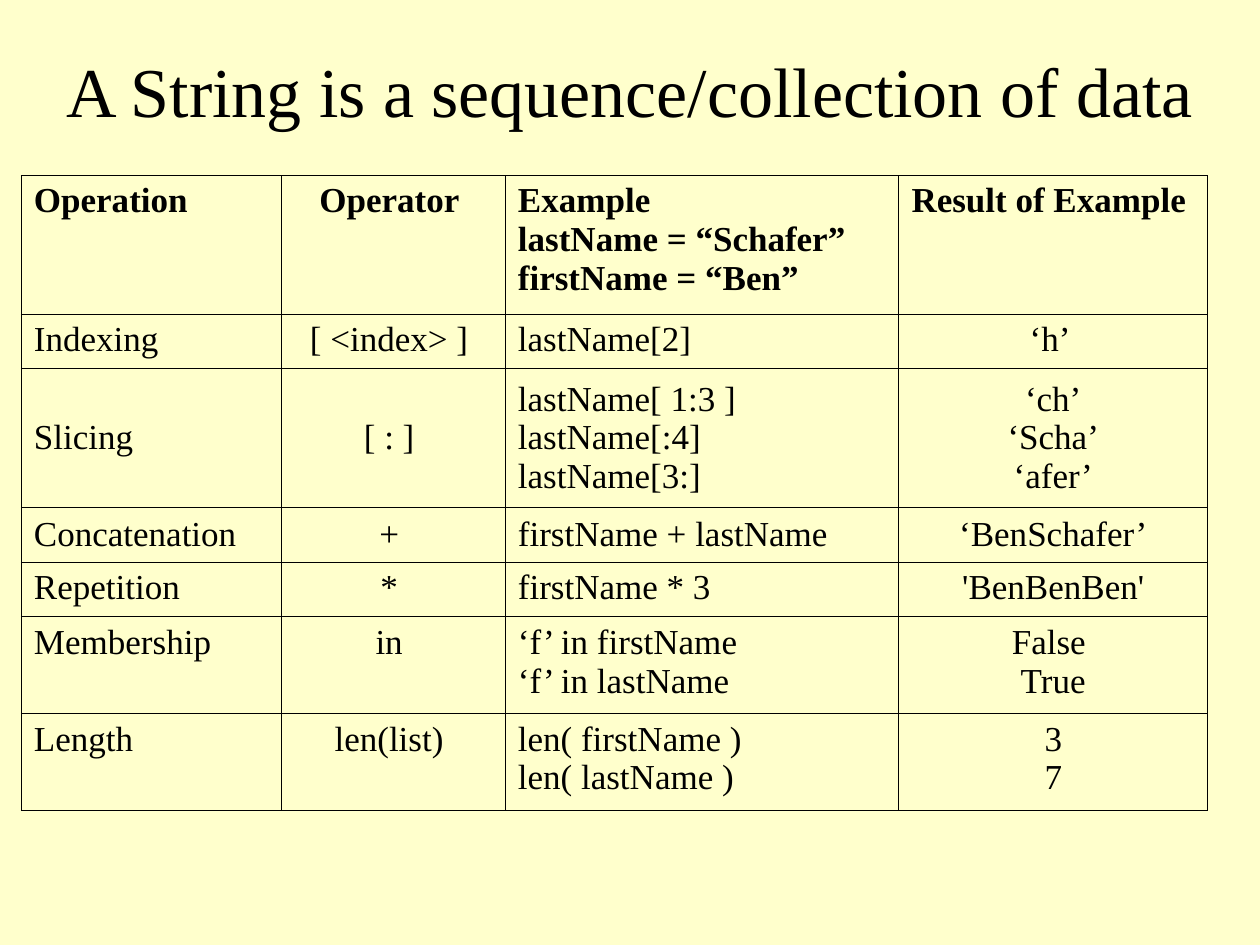
import pptx
import pptx.dml.color
import pptx.enum.text
import pptx.oxml
import pptx.oxml.ns
import pptx.util

Pt = pptx.util.Pt
ALIGN = pptx.enum.text.PP_ALIGN
ANCHOR = pptx.enum.text.MSO_ANCHOR

TITLE = "A String is a sequence/collection of data"
HEADER = ["Operation", "Operator ",
          "Example\nlastName = “Schafer”\nfirstName = “Ben”", "Result of Example "]
OPERATIONS = [
    ["Indexing", "[ <index> ] ", "lastName[2]", "‘h’ "],
    ["Slicing", "[ : ] ", "lastName[ 1:3 ]\nlastName[:4]\nlastName[3:]",
     "‘ch’\n‘Scha’\n‘afer’"],
    ["Concatenation", "+ ", "firstName + lastName", "‘BenSchafer’"],
    ["Repetition", "* ", "firstName * 3", "'BenBenBen'"],
    ["Membership", "in ", "‘f’ in firstName\n‘f’ in lastName", "False \nTrue"],
    ["Length", "len(list) ", "len( firstName )\nlen( lastName )", "3\n7"],
]
MIDDLE_ROWS = {"Slicing", "Concatenation"}
COLUMN_ALIGN = [ALIGN.LEFT, ALIGN.CENTER, ALIGN.LEFT, ALIGN.CENTER]
COLUMN_WIDTHS = [148.8, 127.8, 224.8, 176.6]
ROW_HEIGHTS = {1: 31.1, 2: 55.2, 3: 79}  # by number of text lines
TABLE_LEFT, TABLE_TOP = 12.2, 100.2

THEME = {
    "background": "FFFFCC", "ink": "000000", "font": "Times New Roman",
    "title_size": 40, "body_size": 20, "border": 0.45, "hanging": 27,
}


def add_span(para, text, size, bold=False):
    span = para.add_run()
    span.text = text
    style = {"name": THEME["font"], "size": Pt(size), "bold": bold}
    for name, value in style.items():
        setattr(span.font, name, value)
    span.font.color.rgb = pptx.dml.color.RGBColor.from_string(THEME["ink"])


def set_borders(cell):
    properties = cell._tc.get_or_add_tcPr()
    for position, side in enumerate(("lnL", "lnR", "lnT", "lnB")):
        properties.insert(position, pptx.oxml.parse_xml(
            f'<a:{side} {pptx.oxml.ns.nsdecls("a")} w="{Pt(THEME["border"])}">'
            f'<a:solidFill><a:srgbClr val="{THEME["ink"]}"/></a:solidFill></a:{side}>'))


def fill_cell(cell, text, align, anchor, bold):
    layout = {"margin_left": Pt(7.2), "margin_right": Pt(7.2),
              "margin_top": Pt(3.6), "margin_bottom": Pt(3.6),
              "vertical_anchor": anchor}
    for name, value in layout.items():
        setattr(cell, name, value)
    cell.fill.background()
    set_borders(cell)
    frame = cell.text_frame
    for number, line in enumerate(text.split("\n")):
        para = frame.add_paragraph() if number else frame.paragraphs[0]
        para.alignment = align
        indent = Pt(THEME["hanging"])
        for name, value in {"marL": indent, "indent": -indent}.items():
            para._p.get_or_add_pPr().set(name, str(value))
        add_span(para, line, THEME["body_size"], bold)


def add_title(slide):
    box = slide.shapes.add_textbox(Pt(0), Pt(6), Pt(720), Pt(90))
    frame = box.text_frame
    frame.word_wrap = True
    frame.vertical_anchor = ANCHOR.MIDDLE
    frame.paragraphs[0].alignment = ALIGN.CENTER
    add_span(frame.paragraphs[0], TITLE, THEME["title_size"])


def add_operations(slide):
    rows = [HEADER] + OPERATIONS
    heights = [ROW_HEIGHTS[max(len(text.split("\n")) for text in row)] for row in rows]
    table = slide.shapes.add_table(
        len(rows), len(COLUMN_WIDTHS), Pt(TABLE_LEFT), Pt(TABLE_TOP),
        Pt(sum(COLUMN_WIDTHS)), Pt(sum(heights))).table
    table.horz_banding = False
    for column, width in zip(table.columns, COLUMN_WIDTHS):
        column.width = Pt(width)
    for number, (row, height) in enumerate(zip(rows, heights)):
        table.rows[number].height = Pt(height)
        anchor = ANCHOR.MIDDLE if row[0] in MIDDLE_ROWS else ANCHOR.TOP
        for column, (text, align) in enumerate(zip(row, COLUMN_ALIGN)):
            fill_cell(table.cell(number, column), text, align, anchor, row is HEADER)


def main():
    deck = pptx.Presentation()
    deck.slide_width, deck.slide_height = Pt(720), Pt(540)
    slide = deck.slides.add_slide(deck.slide_layouts[6])
    fill = slide.background.fill
    fill.solid()
    fill.fore_color.rgb = pptx.dml.color.RGBColor.from_string(THEME["background"])
    add_title(slide)
    add_operations(slide)
    deck.save("out.pptx")


if __name__ == "__main__":
    main()
